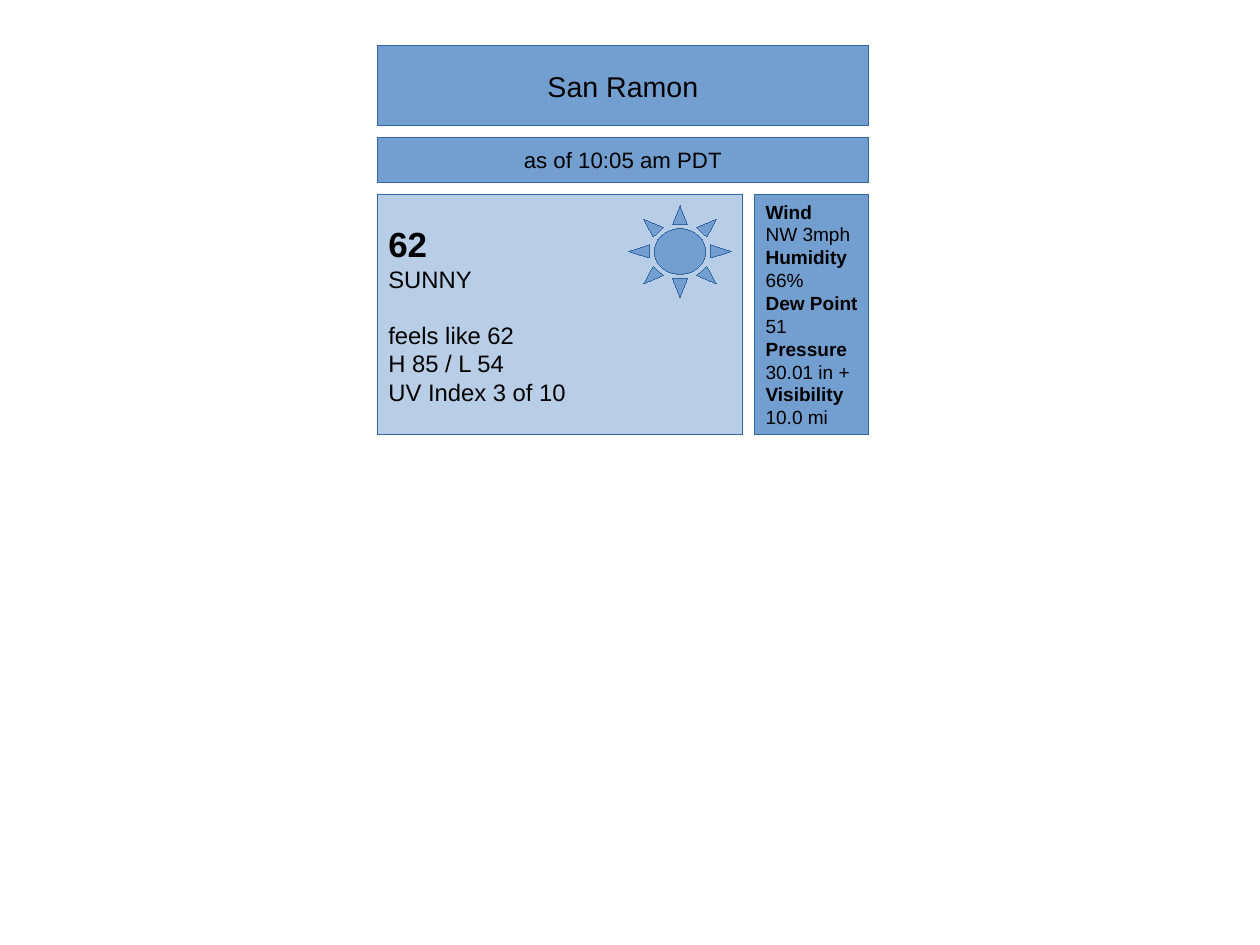
from lxml.etree import SubElement
from pptx import Presentation
from pptx.dml.color import RGBColor
from pptx.enum.shapes import MSO_SHAPE
from pptx.enum.text import MSO_ANCHOR, MSO_AUTO_SIZE, PP_ALIGN
from pptx.oxml.ns import qn
from pptx.util import Cm, Emu, Inches, Pt

# Content: each line is (text, size, bold, space before)
CITY = [("San Ramon", 18, False, 0)]
UPDATED = [("as of 10:05 am PDT", 14, False, 0)]
CURRENT = [
    ("62", 22, True, 0),
    ("SUNNY", 15, False, 0),
    ("feels like 62", 15, False, 17.25),
    ("H 85 / L 54", 15, False, 0),
    ("UV Index 3 of 10", 15, False, 0),
]
READINGS = [
    ("Wind", "NW 3mph"),
    ("Humidity", "66%"),
    ("Dew Point", "51"),
    ("Pressure", "30.01 in +"),
    ("Visibility", "10.0 mi"),
]
DETAILS = [(text, 12, bold, 0) for pair in READINGS
           for text, bold in zip(pair, (True, False))]

BLUE = RGBColor(0x72, 0x9F, 0xCF)
EDGE = RGBColor(0x34, 0x65, 0xA4)
BLACK = RGBColor(0, 0, 0)
HAIRLINE = Emu(1)

# Widget grid in inches
LEFT, TOP, WIDTH, GAP = 3.3, 0.4, 4.3, 0.1
CITY_H, UPDATED_H, PANEL_H = 0.7, 0.4, 2.1
DETAILS_W = 1.0
SUN_W, SUN_H = 0.9, 0.8
CURRENT_W = WIDTH - GAP - DETAILS_W
UPDATED_Y = TOP + CITY_H + GAP
PANEL_Y = UPDATED_Y + UPDATED_H + GAP


def style(s, opacity=100):
    s.fill.solid()
    s.fill.fore_color.rgb = BLUE
    if opacity < 100:
        color = s.fill._xPr.find(qn("a:solidFill"))[0]
        SubElement(color, qn("a:alpha"), val=str(opacity * 1000))
    s.line.color.rgb = EDGE
    s.line.width = HAIRLINE


def add_shape(slide, kind, x, y, w, h, opacity=100):
    s = slide.shapes.add_shape(kind, *map(Inches, (x, y, w, h)))
    s.shadow.inherit = False
    style(s, opacity)
    return s


def write(s, lines, align):
    tf = s.text_frame
    tf.word_wrap = True
    tf.auto_size = MSO_AUTO_SIZE.NONE
    tf.vertical_anchor = MSO_ANCHOR.MIDDLE
    tf.margin_left = Inches(0.1)
    tf.margin_right = Inches(0 if align == PP_ALIGN.LEFT else 0.1)
    tf.margin_top = tf.margin_bottom = Inches(0.05)
    for i, (text, size, bold, before) in enumerate(lines):
        p = tf.add_paragraph() if i else tf.paragraphs[0]
        p.alignment = align
        p.space_before = Pt(before)
        r = p.add_run()
        r.text = text
        r.font.name = "Arial"
        r.font.size = Pt(size)
        r.font.bold = bold
        r.font.color.rgb = BLACK


def main():
    prs = Presentation()
    prs.slide_width, prs.slide_height = Cm(28), Cm(21)
    slide = prs.slides.add_slide(prs.slide_layouts[5])

    # City name
    title = slide.shapes.title
    title.left, title.top = Inches(LEFT), Inches(TOP)
    title.width, title.height = Inches(WIDTH), Inches(CITY_H)
    style(title)
    write(title, CITY, PP_ALIGN.CENTER)

    # Time, current conditions and detailed readings
    rect = MSO_SHAPE.RECTANGLE
    updated = add_shape(slide, rect, LEFT, UPDATED_Y, WIDTH, UPDATED_H)
    write(updated, UPDATED, PP_ALIGN.CENTER)
    current = add_shape(slide, rect, LEFT, PANEL_Y, CURRENT_W, PANEL_H, 50)
    write(current, CURRENT, PP_ALIGN.LEFT)
    details = add_shape(slide, rect, LEFT + CURRENT_W + GAP, PANEL_Y,
                        DETAILS_W, PANEL_H)
    write(details, DETAILS, PP_ALIGN.LEFT)

    # Sun in the top right corner of the current conditions
    add_shape(slide, MSO_SHAPE.SUN, LEFT + CURRENT_W - GAP - SUN_W,
              PANEL_Y + GAP, SUN_W, SUN_H)

    prs.save("out.pptx")


if __name__ == "__main__":
    main()
